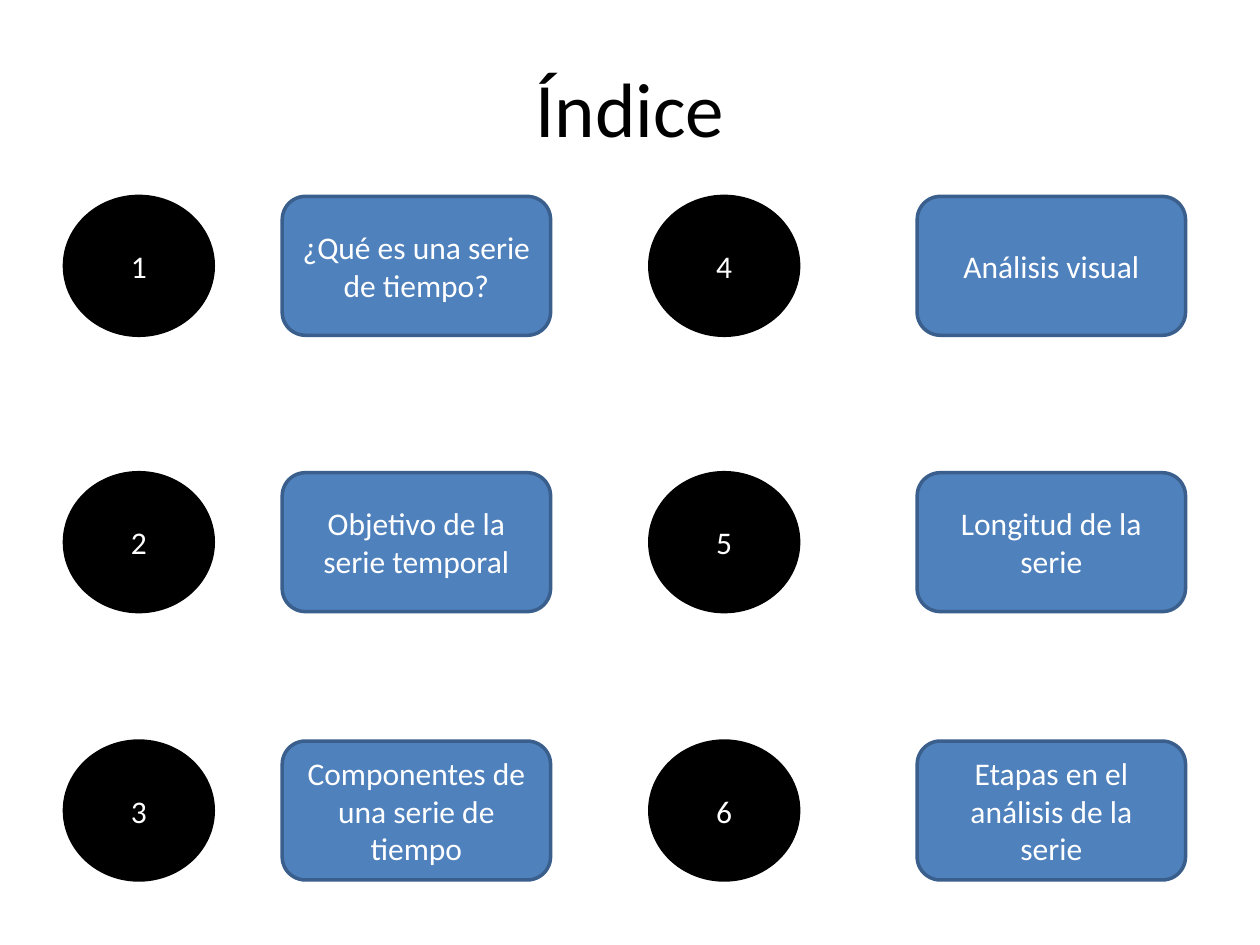
from pptx import Presentation
from pptx.dml.color import RGBColor
from pptx.enum.shapes import MSO_SHAPE as Form
from pptx.enum.text import MSO_ANCHOR as Anchor, PP_ALIGN as Align
from pptx.util import Cm, Pt

BLACK = RGBColor(0x00, 0x00, 0x00)
WHITE = RGBColor(0xFF, 0xFF, 0xFF)
BLUE = RGBColor(0x4F, 0x81, 0xBD)
NAVY = RGBColor(0x3A, 0x5F, 0x8C)

TOPICS = [
    "¿Qué es una serie de tiempo?",
    "Objetivo de la serie temporal",
    "Componentes de una serie de tiempo",
    "Análisis visual",
    "Longitud de la serie",
    "Etapas en el análisis de la serie",
]
ROWS = [3.96, 9.53, 14.94]
COLS = [(1.3, 5.69), (13.1, 18.49)]  # left of circle, left of box
HIGH = 2.8


class Deck:
    font = "Calibri"
    size = 18
    edge = 2

    def __init__(self, slide):
        self.slide = slide

    def label(self, shape, text, size, color):
        frame = shape.text_frame
        frame.text = text
        frame.word_wrap = True
        frame.vertical_anchor = Anchor.MIDDLE
        para = frame.paragraphs[0]
        para.alignment = Align.CENTER
        font = para.runs[0].font
        font.name, font.size = self.font, Pt(size)
        font.color.rgb = color

    def title(self, text, left, top, width, height):
        box = self.slide.shapes.add_textbox(
            Cm(left), Cm(top), Cm(width), Cm(height))
        self.label(box, text, 44, BLACK)

    def shape(self, form, text, left, top, width, fill, line):
        shape = self.slide.shapes.add_shape(
            form, Cm(left), Cm(top), Cm(width), Cm(HIGH))
        shape.shadow.inherit = False
        shape.fill.solid()
        shape.fill.fore_color.rgb = fill
        shape.line.color.rgb = line
        shape.line.width = Pt(self.edge)
        self.label(shape, text, self.size, WHITE)

    def circle(self, text, left, top):
        self.shape(Form.OVAL, text, left, top, 3, BLACK, BLACK)

    def box(self, text, left, top):
        self.shape(Form.ROUNDED_RECTANGLE, text, left, top, 5.41, BLUE, NAVY)


def main():
    prs = Presentation()
    prs.slide_width, prs.slide_height = Cm(25.4), Cm(19.05)
    deck = Deck(prs.slides.add_slide(prs.slide_layouts[6]))
    deck.title("Índice", 1.27, 0.76, 22.86, 2.77)
    for i, topic in enumerate(TOPICS):
        col, row = divmod(i, len(ROWS))
        left, right = COLS[col]
        deck.circle(str(i + 1), left, ROWS[row])
        deck.box(topic, right, ROWS[row])
    prs.save("out.pptx")


if __name__ == "__main__":
    main()
